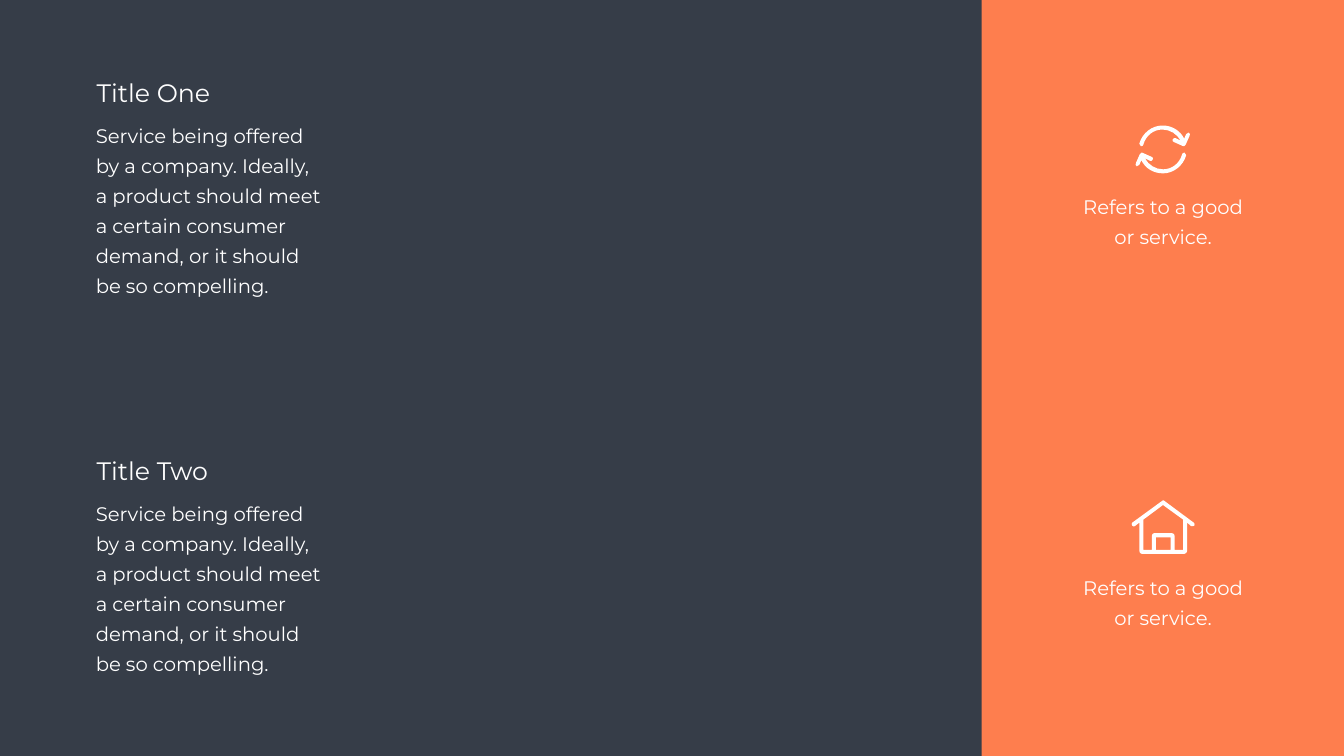
from dataclasses import dataclass

from lxml.etree import SubElement
from pptx import Presentation
from pptx.dml.color import RGBColor as Color
from pptx.enum.shapes import MSO_SHAPE as Preset
from pptx.enum.text import MSO_AUTO_SIZE as AutoSize, PP_ALIGN as Align
from pptx.oxml.ns import qn
from pptx.util import Inches, Pt


@dataclass(frozen=True)
class Theme:
    font: str = "Montserrat"
    background: Color = Color(0x36, 0x3D, 0x48)
    accent: Color = Color(0xFE, 0x7E, 0x4E)
    light: Color = Color(0xFF, 0xFF, 0xFF)
    heading_size: Pt = Pt(36)
    body_size: Pt = Pt(28)
    body_leading: Pt = Pt(43)


@dataclass(frozen=True)
class Box:
    left: float
    top: float
    width: float
    height: float

    def inches(self):
        return [Inches(side) for side in (self.left, self.top, self.width, self.height)]

    def rows(self, count):
        height = self.height / count
        return [Box(self.left, self.top + row * height, self.width, height) for row in range(count)]


@dataclass(frozen=True)
class Icon:
    width: float
    height: float
    shapes: list


THEME = Theme()
SLIDE = Box(0, 0, 26.66, 15)
PANEL_WIDTH = 7.19
HEADINGS = ["Title One", "Title Two"]
DESCRIPTION = (
    "Service being offered by a company. Ideally, a product should meet "
    "a certain consumer demand, or it should be so compelling."
)
CAPTION = "Refers to a good or service."

UPPER_ARROW = [
    (104, 14), (102, 14, 100, 15, 99, 17), (95, 26), (87, 10, 71, 0, 52, 0),
    (31, 0, 12, 15, 6, 36), (6, 38, 7, 40, 9, 41), (10, 41),
    (12, 41, 14, 40, 14, 38), (19, 20, 34, 8, 52, 8), (67, 8, 81, 17, 88, 30),
    (78, 25), (76, 24, 73, 25, 72, 28), (71, 30, 72, 32, 75, 33), (93, 41),
    (95, 41), (96, 41, 98, 40, 98, 38), (106, 20), (107, 18, 106, 15, 104, 14),
]
HOUSE_WALL = [
    (102, 98), (85, 98), (85, 70), (85, 67, 83, 65, 80, 65), (44, 65),
    (42, 65, 40, 67, 40, 70), (40, 98), (23, 98), (23, 38), (62, 9), (102, 38),
]
HOUSE_DOOR = [(77, 98), (48, 98), (48, 73), (77, 73)]
HOUSE_ROOF = [
    (123, 44), (65, 1), (63, -1, 61, -1, 60, 1), (1, 44), (0, 45, -1, 48, 1, 50),
    (2, 52, 5, 52, 6, 51), (15, 44), (15, 100), (15, 103, 17, 106, 20, 106),
    (104, 106), (107, 106, 110, 103, 110, 100), (110, 44), (118, 51), (121, 51),
    (122, 51, 123, 51, 124, 50), (125, 48, 125, 45, 123, 44),
]


def half_turn(outline, width, height):
    return [
        tuple((height if index % 2 else width) - value for index, value in enumerate(step))
        for step in outline
    ]


def to_length(hundredths):
    return Inches(hundredths / 100)


def paint(shape, color):
    shape.shadow.inherit = False
    shape.fill.solid()
    shape.fill.fore_color.rgb = color
    shape.line.fill.background()


def bend_curves(shape, outlines, left, top):
    lines = list(shape.element.iter(qn("a:lnTo")))
    steps = [step for outline in outlines for step in outline[1:]]
    for line, step in zip(lines, steps):
        if len(step) == 2:
            continue
        line.tag = qn("a:cubicBezTo")
        for point in list(line):
            line.remove(point)
        for x, y in zip(step[::2], step[1::2]):
            point = SubElement(line, qn("a:pt"))
            point.set("x", str(left + to_length(x) - shape.left))
            point.set("y", str(top + to_length(y) - shape.top))


def add_outlines(shapes, box, outlines):
    left, top = box.inches()[:2]
    first, *others = [
        [(to_length(step[-2]), to_length(step[-1])) for step in outline] for outline in outlines
    ]
    builder = shapes.build_freeform(*first[0])
    builder.add_line_segments(first[1:], close=True)
    for points in others:
        builder.move_to(*points[0])
        builder.add_line_segments(points[1:], close=True)
    shape = builder.convert_to_shape(left, top)
    bend_curves(shape, outlines, left, top)
    paint(shape, THEME.light)


def add_text(shapes, box, text, size, leading=None, align=Align.LEFT, insets=(0.1, 0.05)):
    frame = shapes.add_textbox(*box.inches()).text_frame
    frame.word_wrap = True
    frame.auto_size = AutoSize.SHAPE_TO_FIT_TEXT
    frame.margin_left = frame.margin_right = Inches(insets[0])
    frame.margin_top = frame.margin_bottom = Inches(insets[1])
    paragraph = frame.paragraphs[0]
    paragraph.alignment = align
    if leading:
        paragraph.line_spacing = leading
    run = paragraph.add_run()
    run.text = text
    run.font.name = THEME.font
    run.font.size = size
    run.font.color.rgb = THEME.light


def add_body(shapes, box, text, align=Align.LEFT):
    add_text(shapes, box, text, THEME.body_size, THEME.body_leading, align, (0.24, 0.12))


def add_text_block(slide, box, heading):
    shapes = slide.shapes.add_group_shape().shapes
    left, heading_top = box.left + 1.66, box.top + 1.49
    heading_height, indent, width = 0.71, 0.16, 5.02
    add_body(shapes, Box(left, heading_top + heading_height, width, 3.8), DESCRIPTION)
    heading_box = Box(left + indent, heading_top, width - indent, heading_height)
    add_text(shapes, heading_box, heading, THEME.heading_size)


def add_icon(slide, box, icon):
    shapes = slide.shapes.add_group_shape().shapes if len(icon.shapes) > 1 else slide.shapes
    for outlines in icon.shapes:
        add_outlines(shapes, box, outlines)


def add_feature(slide, box, icon):
    center_x, center_y = box.left + 3.6, box.top + 2.97
    icon_box = Box(center_x - icon.width / 2, center_y - icon.height / 2, icon.width, icon.height)
    add_icon(slide, icon_box, icon)
    width, gap = 3.86, 0.17
    caption_top = icon_box.top + icon.height + gap
    add_body(slide.shapes, Box(center_x - width / 2, caption_top, width, 1.39), CAPTION, Align.CENTER)


def add_panel(slide, box, icons):
    paint(slide.shapes.add_shape(Preset.RECTANGLE, *box.inches()), THEME.accent)
    for row, icon in zip(box.rows(len(icons)), icons):
        add_feature(slide, row, icon)


def main():
    presentation = Presentation()
    presentation.slide_width, presentation.slide_height = SLIDE.inches()[2:]
    slide = presentation.slides.add_slide(presentation.slide_layouts[6])
    slide.background.fill.solid()
    slide.background.fill.fore_color.rgb = THEME.background

    text_width = SLIDE.width - PANEL_WIDTH
    for row, heading in zip(Box(0, 0, text_width, SLIDE.height).rows(len(HEADINGS)), HEADINGS):
        add_text_block(slide, row, heading)

    refresh = Icon(1.06, 0.96, [[UPPER_ARROW], [half_turn(UPPER_ARROW, 105, 95)]])
    house = Icon(1.24, 1.08, [[HOUSE_WALL, HOUSE_DOOR, HOUSE_ROOF]])
    add_panel(slide, Box(text_width, 0, PANEL_WIDTH, SLIDE.height), [refresh, house])
    presentation.save("out.pptx")


if __name__ == "__main__":
    main()
